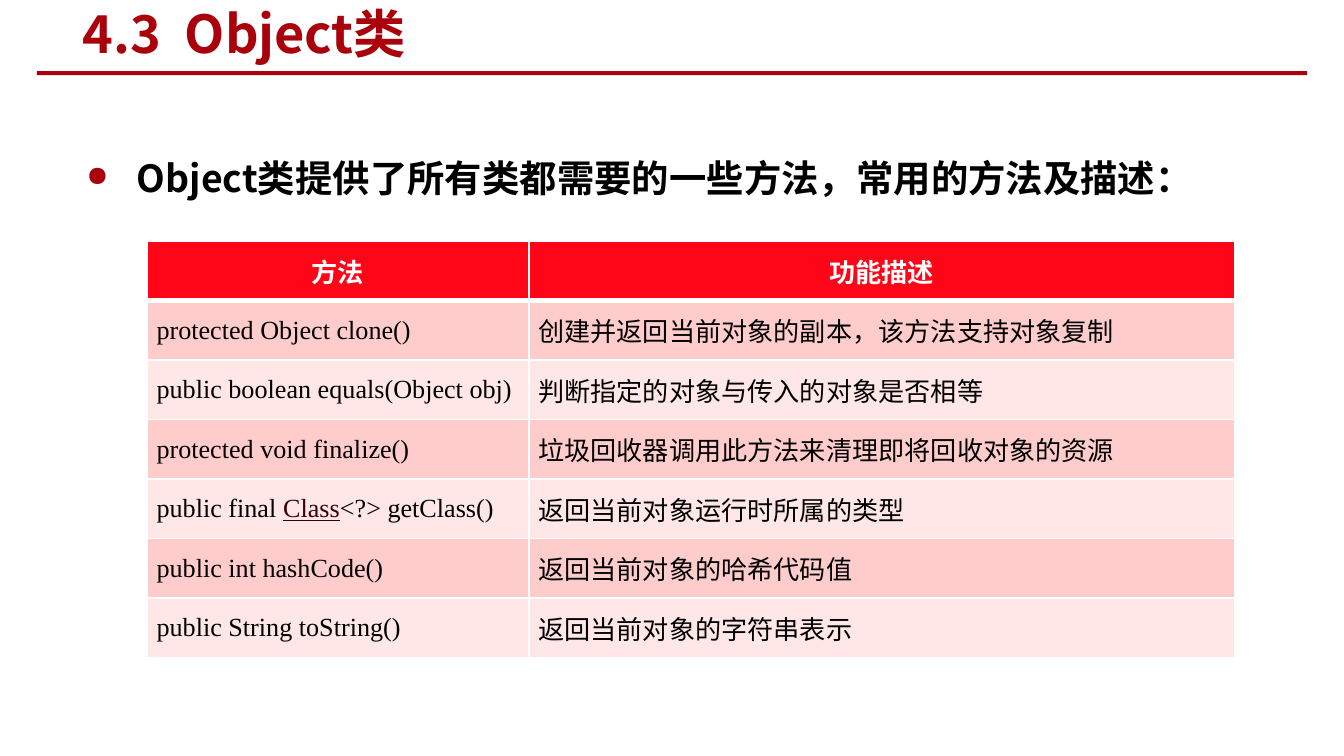
from dataclasses import dataclass
from typing import NamedTuple

from lxml.etree import SubElement
from pptx import Presentation
from pptx.dml.color import RGBColor
from pptx.enum.shapes import MSO_SHAPE
from pptx.enum.text import MSO_ANCHOR, MSO_AUTO_SIZE, PP_ALIGN
from pptx.oxml import parse_xml
from pptx.oxml.ns import nsdecls, qn
from pptx.util import Pt

PX = 4572


class Box(NamedTuple):
    """A rectangle in px, 200 to the inch."""
    left: int
    top: int
    width: int
    height: int

    def emu(self):
        """Return the four lengths in EMU."""
        return [length * PX for length in self]


@dataclass(frozen=True)
class Theme:
    """Colours, fonts and type sizes of the deck."""
    accent: str = "AA000B"
    ink: str = "000000"
    white: str = "FFFFFF"
    link: str = "3A0004"
    header: str = "FF0517"
    bands: tuple = ("FFCCCC", "FFE7E8")
    cjk: str = "Noto Sans CJK SC"
    header_font: str = "Calibri"
    code_font: str = "Times New Roman"
    title_size: int = 28
    body_size: int = 20
    table_size: int = 14


THEME = Theme()
HEADINGS = ("方法", "功能描述")
METHODS = (
    (("protected Object clone()",), "创建并返回当前对象的副本，该方法支持对象复制"),
    (("public boolean equals(Object obj)",), "判断指定的对象与传入的对象是否相等"),
    (("protected void finalize()",), "垃圾回收器调用此方法来清理即将回收对象的资源"),
    (("public final ", "Class", "<?> getClass()"), "返回当前对象运行时所属的类型"),
    (("public int hashCode()",), "返回当前对象的哈希代码值"),
    (("public String toString()",), "返回当前对象的字符串表示"),
)


def add_span(para, text, size, color, font=THEME.cjk, bold=False, underline=False):
    """Add one formatted run to a paragraph."""
    span = para.add_run()
    span.text = text
    span.font.size = Pt(size)
    span.font.bold = bold
    span.font.underline = underline
    span.font.color.rgb = RGBColor.from_string(color)
    span.font.name = font
    latin = span.font._element.find(qn("a:latin"))
    latin.addnext(parse_xml(f'<a:ea {nsdecls("a")} typeface="{THEME.cjk}"/>'))


def add_heading(page, box, rule_box):
    """Place the slide title and the rule under it."""
    title = page.shapes.title
    title.left, title.top, title.width, title.height = box.emu()
    frame = title.text_frame
    frame.auto_size = MSO_AUTO_SIZE.NONE
    frame.vertical_anchor = MSO_ANCHOR.MIDDLE
    para = frame.paragraphs[0]
    para.alignment = PP_ALIGN.LEFT
    add_span(para, "4.3  Object类", THEME.title_size, THEME.accent, bold=True)
    rule = page.shapes.add_shape(MSO_SHAPE.RECTANGLE, *rule_box.emu())
    rule.shadow.inherit = False
    rule.fill.solid()
    rule.fill.fore_color.rgb = RGBColor.from_string(THEME.accent)
    rule.line.fill.background()


def add_lead(page, box):
    """Place the bulleted sentence that introduces the table."""
    frame = page.shapes.add_textbox(*box.emu()).text_frame
    frame.word_wrap = True
    para = frame.paragraphs[0]
    props = para._p.get_or_add_pPr()
    props.set("marL", str(75 * PX))
    props.set("indent", str(-75 * PX))
    color = SubElement(props, qn("a:buClr"))
    SubElement(color, qn("a:srgbClr"), val=THEME.accent)
    SubElement(props, qn("a:buSzPct"), val="75000")
    SubElement(props, qn("a:buChar"), char="●")
    para.line_spacing = 1.5
    add_span(para, "Object类提供了所有类都需要的一些方法，常用的方法及描述：",
             THEME.body_size, THEME.ink, bold=True)


def format_cell(cell, fill, alignment, bottom_width):
    """Set a cell's fill, borders and margins, and return its paragraph."""
    cell.margin_left = cell.margin_right = 14 * PX
    cell.margin_top = cell.margin_bottom = 0
    cell.vertical_anchor = MSO_ANCHOR.MIDDLE
    cell.fill.solid()
    cell.fill.fore_color.rgb = RGBColor.from_string(fill)
    props = cell._tc.get_or_add_tcPr()
    widths = {"lnL": 1, "lnR": 1, "lnT": 1, "lnB": bottom_width}
    for place, (side, width) in enumerate(widths.items()):
        props.insert(place, parse_xml(
            f'<a:{side} {nsdecls("a")} w="{Pt(width)}"><a:solidFill>'
            f'<a:srgbClr val="{THEME.white}"/></a:solidFill></a:{side}>'))
    para = cell.text_frame.paragraphs[0]
    para.alignment = alignment
    return para


def add_method_table(page, box, first_width):
    """Place the table of methods and their descriptions."""
    count = len(METHODS) + 1
    table = page.shapes.add_table(count, len(HEADINGS), *box.emu()).table
    table.horz_banding = False
    for column, width in zip(table.columns, (first_width, box.width - first_width)):
        column.width = width * PX
    for row in table.rows:
        row.height = box.height * PX // count
    for column, heading in enumerate(HEADINGS):
        para = format_cell(table.cell(0, column), THEME.header, PP_ALIGN.CENTER, 3)
        add_span(para, heading, THEME.table_size, THEME.white, THEME.header_font, bold=True)
    for index, (signature, description) in enumerate(METHODS):
        fill = THEME.bands[index % 2]
        for column, parts in enumerate((signature, (description,))):
            cell = table.cell(index + 1, column)
            para = format_cell(cell, fill, PP_ALIGN.JUSTIFY, 1)
            for part in parts:
                linked = part == "Class"
                add_span(para, part, THEME.table_size, THEME.link if linked else THEME.ink,
                         THEME.code_font, underline=linked)


def main():
    """Build the deck and save it."""
    deck = Presentation()
    deck.slide_width, deck.slide_height = 2000 * PX, 1125 * PX
    page = deck.slides.add_slide(deck.slide_layouts[5])
    add_heading(page, Box(103, 4, 1060, 90), Box(55, 106, 1890, 6))
    add_lead(page, Box(109, 188, 1796, 820))
    add_method_table(page, Box(219, 359, 1618, 620), 568)
    deck.save("out.pptx")


if __name__ == "__main__":
    main()
